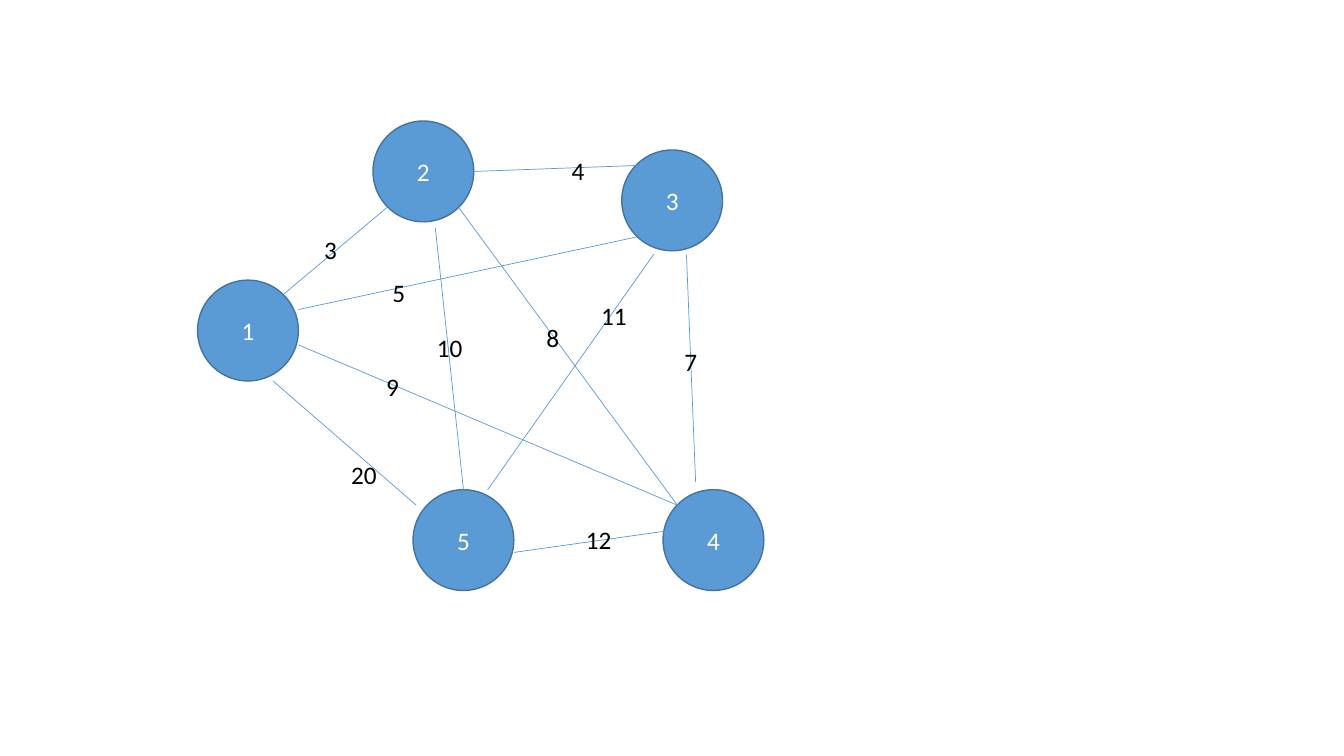
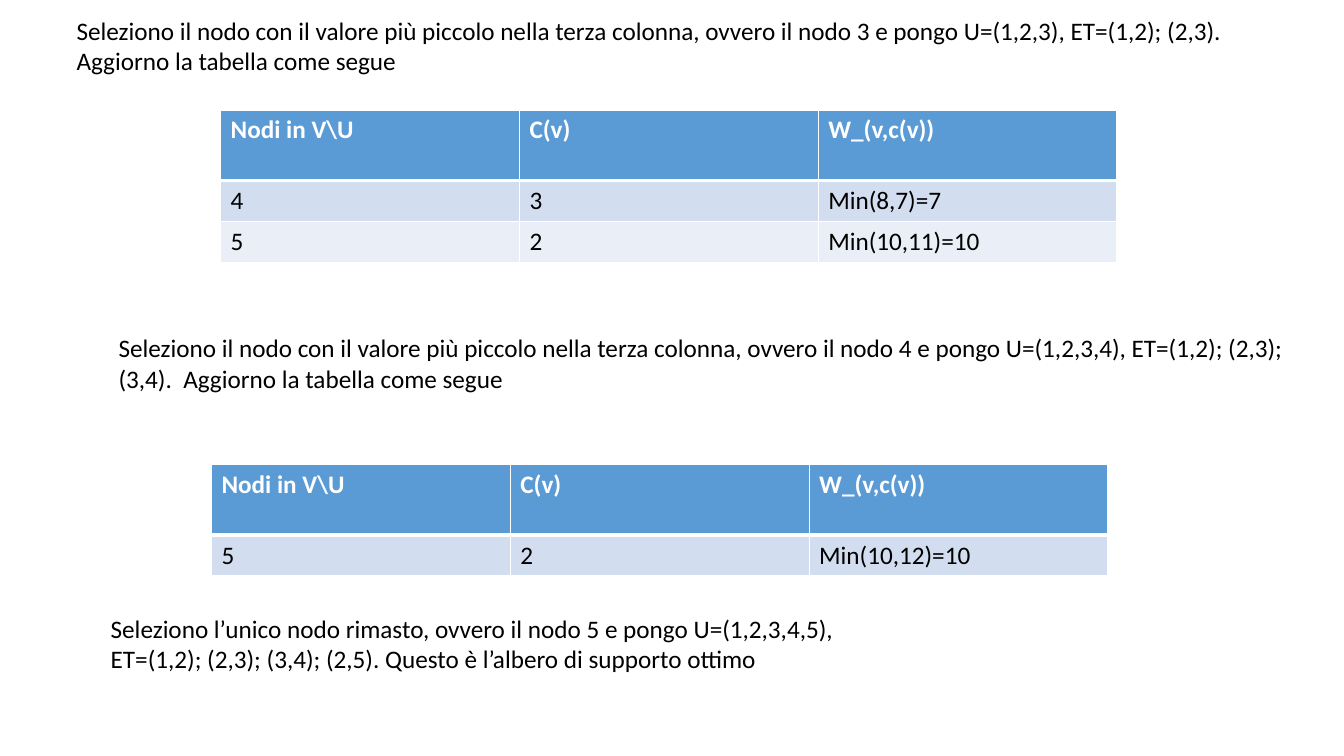
from lxml import etree
from pptx import Presentation
from pptx.dml.color import RGBColor
from pptx.enum import shapes, text
from pptx.oxml import ns
from pptx.util import Cm, Pt

COLOURS = {
    "blue": "5B9BD5", "outline": "43739E", "white": "FFFFFF", "black": "000000",
    "band_dark": "D2DEEF", "band_light": "EAEFF7",
}


def rgb(name):
    return RGBColor.from_string(COLOURS[name])


class Pages:
    """Holds the style, the deck and the slide being drawn."""
    font, size = "Calibri", Pt(18)
    node_size = 2.54
    column, header, row = 7.53, 1.78, 1.03

    def __init__(self):
        self.deck = Presentation()
        self.deck.slide_width, self.deck.slide_height = Cm(33.87), Cm(19.05)

    def new_page(self):
        self.page = self.deck.slides.add_slide(self.deck.slide_layouts[6])

    def set_text(self, frame, words, colour="black", bold=False, align=text.PP_ALIGN.LEFT):
        frame.text = words
        for para in frame.paragraphs:
            para.alignment = align
            for span in para.runs:
                span.font.name, span.font.size, span.font.bold = self.font, self.size, bold
                span.font.color.rgb = rgb(colour)

    def textbox(self, left, top, width, words):
        box = self.page.shapes.add_textbox(Cm(left), Cm(top), Cm(width), Cm(1.8))
        box.text_frame.word_wrap = True
        self.set_text(box.text_frame, words)

    def node(self, name, left, top):
        circle = self.page.shapes.add_shape(
            shapes.MSO_SHAPE.OVAL, Cm(left), Cm(top), Cm(self.node_size), Cm(self.node_size))
        circle.shadow.inherit = False
        circle.fill.solid()
        circle.fill.fore_color.rgb = rgb("blue")
        circle.line.color.rgb = rgb("outline")
        circle.line.width = Pt(1)
        circle.text_frame.vertical_anchor = text.MSO_ANCHOR.MIDDLE
        self.set_text(circle.text_frame, name, "white", align=text.PP_ALIGN.CENTER)

    def edge(self, start, end):
        line = self.page.shapes.add_connector(
            shapes.MSO_CONNECTOR.STRAIGHT, *(Cm(value) for value in (*start, *end)))
        line.line.color.rgb = rgb("blue")
        line.line.width = Pt(0.5)
        etree.SubElement(line._element.spPr, ns.qn("a:effectLst"))

    def weight(self, words, centre, top):
        width = 1.2
        box = self.page.shapes.add_textbox(Cm(centre - width / 2), Cm(top), Cm(width), Cm(1.03))
        frame = box.text_frame
        frame.word_wrap = True
        frame.margin_left = frame.margin_right = 0
        self.set_text(frame, words, align=text.PP_ALIGN.CENTER)

    def borders(self, cell, is_header, below_header):
        """White cell borders, with a thick rule between header and body."""
        widths = {"lnL": 1, "lnR": 1, "lnT": 3 if below_header else 1, "lnB": 3 if is_header else 1}
        for side, width in widths.items():
            line = etree.SubElement(
                cell._tc.get_or_add_tcPr(), ns.qn("a:" + side), w=str(Pt(width)))
            fill = etree.SubElement(line, ns.qn("a:solidFill"))
            etree.SubElement(fill, ns.qn("a:srgbClr"), val=COLOURS["white"])

    def table(self, left, top, rows):
        heights = [self.header] + [self.row] * (len(rows) - 1)
        columns = len(rows[0])
        table = self.page.shapes.add_table(
            len(rows), columns, Cm(left), Cm(top),
            Cm(self.column * columns), Cm(sum(heights))).table
        for column in table.columns:
            column.width = Cm(self.column)
        for index, (height, values) in enumerate(zip(heights, rows)):
            table.rows[index].height = Cm(height)
            is_header = index == 0
            band = "blue" if is_header else "band_dark" if index % 2 else "band_light"
            for cell, value in zip(table.rows[index].cells, values):
                self.borders(cell, is_header, index == 1)
                cell.fill.solid()
                cell.fill.fore_color.rgb = rgb(band)
                self.set_text(cell.text_frame, value, "white" if is_header else "black", is_header)


NODES = [("1", 4.98, 7.06), ("2", 9.4, 3.05), ("5", 10.41, 12.34),
         ("3", 15.67, 3.78), ("4", 16.71, 12.34)]

# start, end, weight, centre and top of the weight
EDGES = [
    ((7.14, 7.42), (9.75, 5.23), "3", 8.33, 5.77),
    ((11.94, 4.32), (16.05, 4.17), "4", 14.57, 3.78),
    ((17.3, 6.43), (17.53, 12.14), "7", 17.41, 8.61),
    ((12.95, 13.92), (16.94, 13.36), "12", 15.09, 13.08),
    ((7.52, 8.69), (17.07, 12.73), "9", 9.89, 9.22),
    ((11.56, 5.23), (17.07, 12.73), "8", 13.93, 8.0),
    ((7.52, 7.8), (16.05, 5.97), "5", 10.05, 6.86),
    ((16.48, 6.4), (12.29, 12.34), "11", 15.47, 7.44),
    ((10.97, 5.74), (11.68, 12.34), "10", 11.33, 8.26),
    ((6.88, 9.6), (10.49, 12.73), "20", 9.17, 11.46),
]

HEADINGS = ("Nodi in V\\U", "C(v)", "W_(v,c(v))")
SELECT = "Seleziono il nodo con il valore più piccolo nella terza colonna, ovvero il nodo "
UPDATE = "Aggiorno la tabella come segue"


def draw_graph(pages):
    pages.new_page()
    for node in NODES:
        pages.node(*node)
    for start, end, *weight in EDGES:
        pages.edge(start, end)
        pages.weight(*weight)


def draw_steps(pages):
    pages.new_page()
    pages.textbox(1.68, 0.25, 29.9, SELECT + "3 e pongo U=(1,2,3), ET=(1,2); (2,3).\n" + UPDATE)
    pages.table(5.56, 2.77, [HEADINGS, ("4", "3", "Min(8,7)=7"), ("5", "2", "Min(10,11)=10")])
    pages.textbox(2.74, 8.26, 30.81,
                  SELECT + "4 e pongo U=(1,2,3,4), ET=(1,2); (2,3); (3,4).  " + UPDATE)
    pages.table(5.33, 11.7, [HEADINGS, ("5", "2", "Min(10,12)=10")])
    pages.textbox(2.54, 15.33, 31,
                  "Seleziono l’unico nodo rimasto, ovvero il nodo 5 e pongo U=(1,2,3,4,5),\n"
                  "ET=(1,2); (2,3); (3,4); (2,5). Questo è l’albero di supporto ottimo")


def main():
    pages = Pages()
    draw_graph(pages)
    draw_steps(pages)
    pages.deck.save("out.pptx")


if __name__ == "__main__":
    main()
